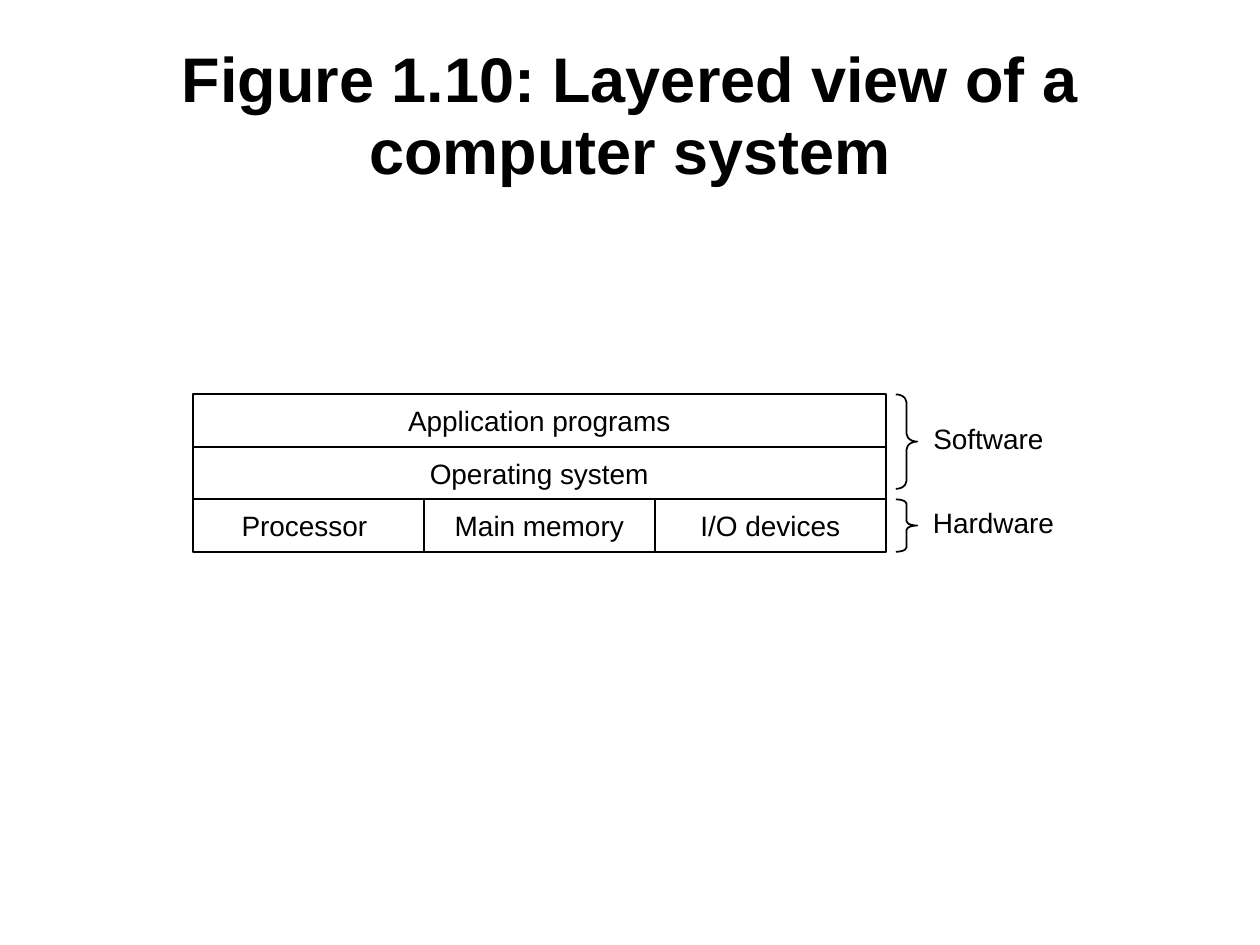
import pptx
import pptx.util
import pptx.dml.color
import pptx.enum.shapes
import pptx.enum.text

Inches = pptx.util.Inches
Pt = pptx.util.Pt
Shape = pptx.enum.shapes.MSO_SHAPE
COLORS = {"ink": "000000", "paper": "FFFFFF"}
INK = pptx.dml.color.RGBColor.from_string(COLORS["ink"])

deck = pptx.Presentation()
deck.slide_width, deck.slide_height = Inches(10), Inches(7.5)
slide = deck.slides.add_slide(deck.slide_layouts[6])
slide.background.fill.solid()
slide.background.fill.fore_color.rgb = pptx.dml.color.RGBColor.from_string(COLORS["paper"])


def write_centred(holder, text, size=16, bold=False, wrap=False):
    frame = holder.text_frame
    frame.word_wrap = wrap
    frame.vertical_anchor = pptx.enum.text.MSO_ANCHOR.MIDDLE
    paragraph = frame.paragraphs[0]
    paragraph.alignment = pptx.enum.text.PP_ALIGN.CENTER
    run = paragraph.add_run()
    run.text = text
    run.font.name = "Arial"
    run.font.size = Pt(size)
    run.font.bold = bold
    run.font.color.rgb = INK
    return paragraph


def add_outline(preset, left, top, width, height):
    """Add an unfilled preset shape with a thin dark line."""
    outline = slide.shapes.add_shape(
        preset, Inches(left), Inches(top), Inches(width), Inches(height))
    outline.shadow.inherit = False
    outline.fill.background()
    outline.line.color.rgb = INK
    outline.line.width = Pt(1)
    return outline


title = slide.shapes.add_textbox(Inches(0.5), Inches(0.3), Inches(9), Inches(1.25))
heading = write_centred(title, "Figure 1.10: Layered view of a computer system", 36, True, True)
heading.line_spacing = 0.95

# Each layer shares the full width equally among its parts
STACK_LEFT, STACK_TOP, STACK_WIDTH = 1.53, 3.13, 5.5
LAYER_HEIGHT = 1.25 / 3
layers = [
    ["Application programs"],
    ["Operating system"],
    ["Processor ", "Main memory", "I/O devices"],
]
for row, parts in enumerate(layers):
    part_width = STACK_WIDTH / len(parts)
    for column, part in enumerate(parts):
        box = add_outline(Shape.RECTANGLE, STACK_LEFT + column * part_width,
                          STACK_TOP + row * LAYER_HEIGHT, part_width, LAYER_HEIGHT)
        write_centred(box, part)

# Braces group the layers; their curls are a twelfth of the brace height
BRACE_LEFT, BRACE_WIDTH = 7.11, 0.17
groups = [
    ("Software", STACK_TOP, 0.75, 3.29, 1.09),
    ("Hardware", STACK_TOP + 2 * LAYER_HEIGHT, LAYER_HEIGHT, 3.96, 1.17),
]
for group, brace_top, brace_height, label_top, label_width in groups:
    brace = add_outline(Shape.RIGHT_BRACE, BRACE_LEFT, brace_top, BRACE_WIDTH, brace_height)
    brace.adjustments[0] = brace_height / 12 / BRACE_WIDTH
    label = slide.shapes.add_textbox(
        Inches(7.3), Inches(label_top), Inches(label_width), Inches(0.37))
    write_centred(label, group)
    label.text_frame.auto_size = pptx.enum.text.MSO_AUTO_SIZE.SHAPE_TO_FIT_TEXT

deck.save("out.pptx")
